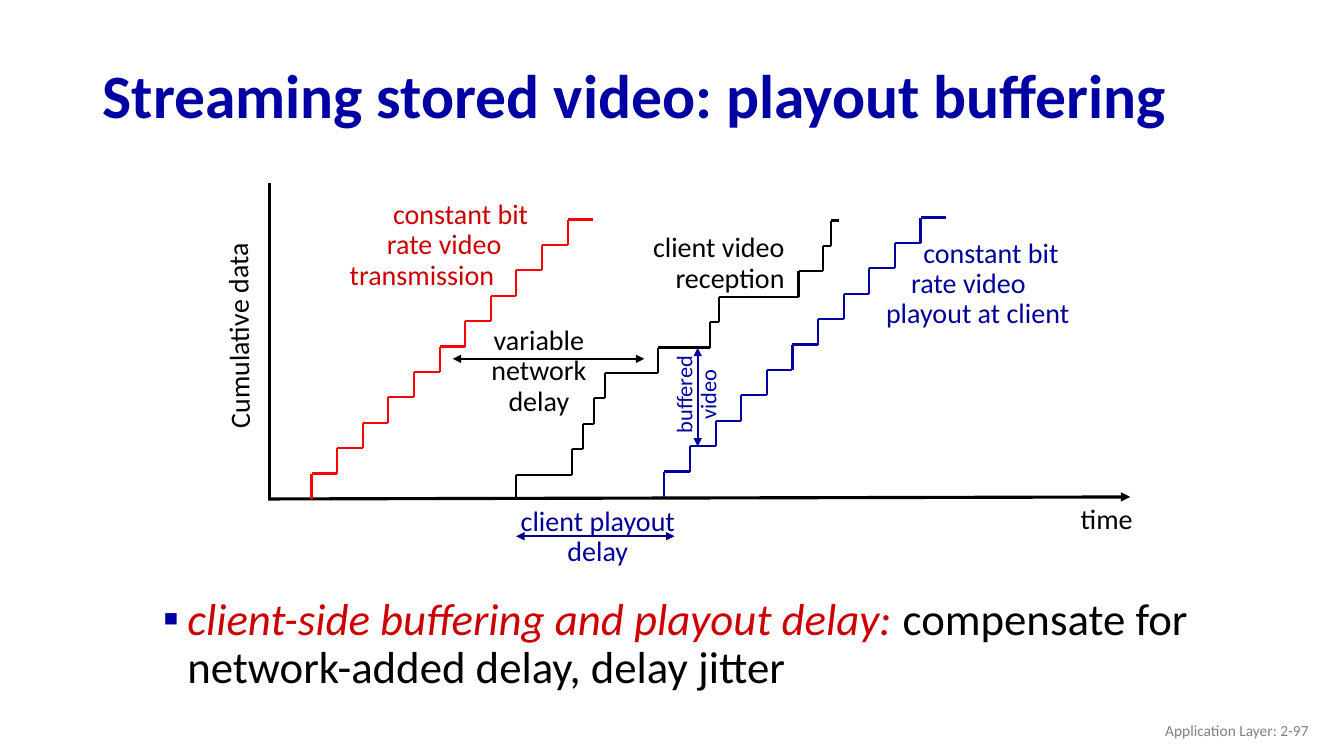
from itertools import accumulate, pairwise

from lxml.etree import SubElement
from pptx import Presentation
from pptx.dml.color import RGBColor
from pptx.enum.shapes import MSO_CONNECTOR as Connector
from pptx.enum.text import MSO_ANCHOR as Anchor, PP_ALIGN as Align
from pptx.oxml.ns import qn
from pptx.util import Inches, Pt

BLACK = RGBColor(0, 0, 0)
GRAY = RGBColor(0x80, 0x80, 0x80)
RED = RGBColor(0xFF, 0, 0)
DARK_RED = RGBColor(0xCC, 0, 0)
BLUE = RGBColor(0, 0, 0xA3)
LABEL_BLUE = RGBColor(0, 0, 0x99)
NAVY = RGBColor(0x01, 0, 0x86)

STEPS = 11
RISE = 0.252
TREAD = 0.254


class SlideBuilder:
    """Hold the text style and the current slide."""

    font = "Calibri"
    line_spacing = 0.9

    def __init__(self, slide):
        """Draw on the given slide."""
        self.slide = slide

    def line(self, start, end, color, width=1.5, ends=()):
        """Draw a straight line with triangles at the named ends."""
        connector = self.slide.shapes.add_connector(
            Connector.STRAIGHT, *map(Inches, start + end))
        connector.line.color.rgb = color
        connector.line.width = Pt(width)
        outline = connector.line._get_or_add_ln()
        for end_name in ends:
            SubElement(outline, qn(f"a:{end_name}"), type="triangle")
        SubElement(connector._element.spPr, qn("a:effectLst"))

    def double_arrow(self, start, end, color):
        """Draw a line with arrowheads at both ends."""
        self.line(start, end, color, ends=("headEnd", "tailEnd"))

    def staircase(self, edges, bottom, color):
        """Draw equal rises at the edges, joined by level treads."""
        for step, (left, right) in enumerate(pairwise(edges)):
            low = bottom - step * RISE
            high = low - RISE
            self.line((left, high), (left, low), color)
            self.line((right, high), (left, high), color)

    def text(self, box, paragraphs, color, size=20, wrap=True, rotation=0,
             anchor=Anchor.TOP, indents=(), **formats):
        """Add a text box; each paragraph is a list of (text, font) runs."""
        shape = self.slide.shapes.add_textbox(*map(Inches, box))
        shape.rotation = rotation
        frame = shape.text_frame
        frame.word_wrap = wrap
        frame.vertical_anchor = anchor
        formats = {"line_spacing": self.line_spacing} | formats
        for index, runs in enumerate(paragraphs):
            paragraph = frame.paragraphs[0] if index == 0 else frame.add_paragraph()
            for name, value in formats.items():
                setattr(paragraph, name, value)
            if indents:
                paragraph._p.get_or_add_pPr().set("marL", str(Inches(indents[index])))
            for words, changes in runs:
                run = paragraph.add_run()
                run.text = words
                style = {"name": self.font, "size": Pt(size)} | changes
                run.font.color.rgb = style.pop("color", color)
                for name, value in style.items():
                    setattr(run.font, name, value)
        return shape

    def label(self, box, lines, color, **options):
        """Add a text box with one plain paragraph for each line."""
        return self.text(box, [[(line, {})] for line in lines], color, **options)

    def bullet(self, box, runs, color, size, bullet_color):
        """Add one paragraph with a square bullet and a hanging indent."""
        shape = self.text(box, [runs], color, size, space_before=Pt(10))
        properties = shape.text_frame.paragraphs[0]._p.get_or_add_pPr()
        properties.set("marL", str(Inches(0.39)))
        properties.set("indent", str(Inches(-0.24)))
        fill = SubElement(properties, qn("a:buClr"))
        SubElement(fill, qn("a:srgbClr"), val=str(bullet_color))
        SubElement(properties, qn("a:buFont"), typeface=self.font)
        SubElement(properties, qn("a:buChar"), char="▪")


def draw_axes(builder):
    """Draw the two axes and their names."""
    builder.line((2.67, 1.82), (2.67, 4.94), BLACK, 2.25)
    builder.line((11.21, 4.93), (2.66, 4.95), BLACK, 2.25, ["headEnd"])
    builder.label((1.31, 3.08, 2.14, 0.4), ["Cumulative data"], BLACK, rotation=269.4)
    builder.label((10.62, 4.96, 0.73, 0.4), ["time"], BLACK, wrap=False)


def draw_curves(builder):
    """Draw transmission, reception and playout as staircases."""
    for start, bottom, color in ((3.09, 4.95, RED), (6.59, 4.93, BLUE)):
        edges = accumulate([TREAD] * STEPS, initial=start)
        builder.staircase(edges, bottom, color)
    reception = (5.12, 5.67, 5.78, 5.89, 6, 6.53, 7.04, 7.13, 7.92, 8.16, 8.24, 8.32)
    builder.staircase(reception, 4.96, BLACK)


def draw_labels(builder):
    """Name the curves and mark the delays between them."""
    builder.label((3.37, 1.94, 2.06, 1.01),
                  ["constant bit", "rate video", "transmission"],
                  DARK_RED, indents=(0.43, 0.37, 0))
    builder.label((8.63, 2.32, 2.1, 1.01),
                  ["constant bit", "rate video", "playout at client"],
                  LABEL_BLUE, indents=(0.43, 0.31, 0.06))
    builder.label((6.36, 2.27, 1.52, 0.71), ["client video", "reception"], BLACK,
                  wrap=False, alignment=Align.RIGHT)
    builder.label((4.77, 3.19, 1.15, 1.01), ["variable", "network", "delay"], BLACK,
                  wrap=False, alignment=Align.CENTER)
    builder.double_arrow((4.49, 3.56), (6.39, 3.56), BLACK)
    builder.label((5.01, 4.98, 1.84, 0.71), ["client playout", "delay"], LABEL_BLUE,
                  alignment=Align.CENTER)
    builder.double_arrow((5.12, 5.32), (6.69, 5.32), NAVY)
    builder.double_arrow((6.92, 4.43), (6.92, 3.45), BLUE)
    builder.label((6.43, 3.62, 0.98, 0.59), ["buffered", "video"], BLUE, size=16,
                  wrap=False, rotation=270, alignment=Align.CENTER)


def main():
    """Build and save the slide."""
    presentation = Presentation()
    presentation.slide_width = Inches(13.33)
    presentation.slide_height = Inches(7.5)
    builder = SlideBuilder(presentation.slides.add_slide(presentation.slide_layouts[6]))
    builder.text((0.92, 0.49, 11.5, 0.98),
                 [[("Streaming stored video: playout buffering", {"bold": True})]],
                 BLUE, size=44, anchor=Anchor.MIDDLE)
    draw_axes(builder)
    draw_curves(builder)
    draw_labels(builder)
    builder.bullet(
        (1.37, 5.87, 11.5, 0.97),
        [("client-side buffering and playout delay: ", {"italic": True, "color": DARK_RED}),
         ("compensate for network-added delay, delay jitter", {})],
        BLACK, 32, BLUE)
    builder.label((10.08, 7.05, 3, 0.4), ["Application Layer: 2-97"], GRAY, size=11,
                  anchor=Anchor.MIDDLE, alignment=Align.RIGHT, line_spacing=1.0)
    presentation.save("out.pptx")


main()
